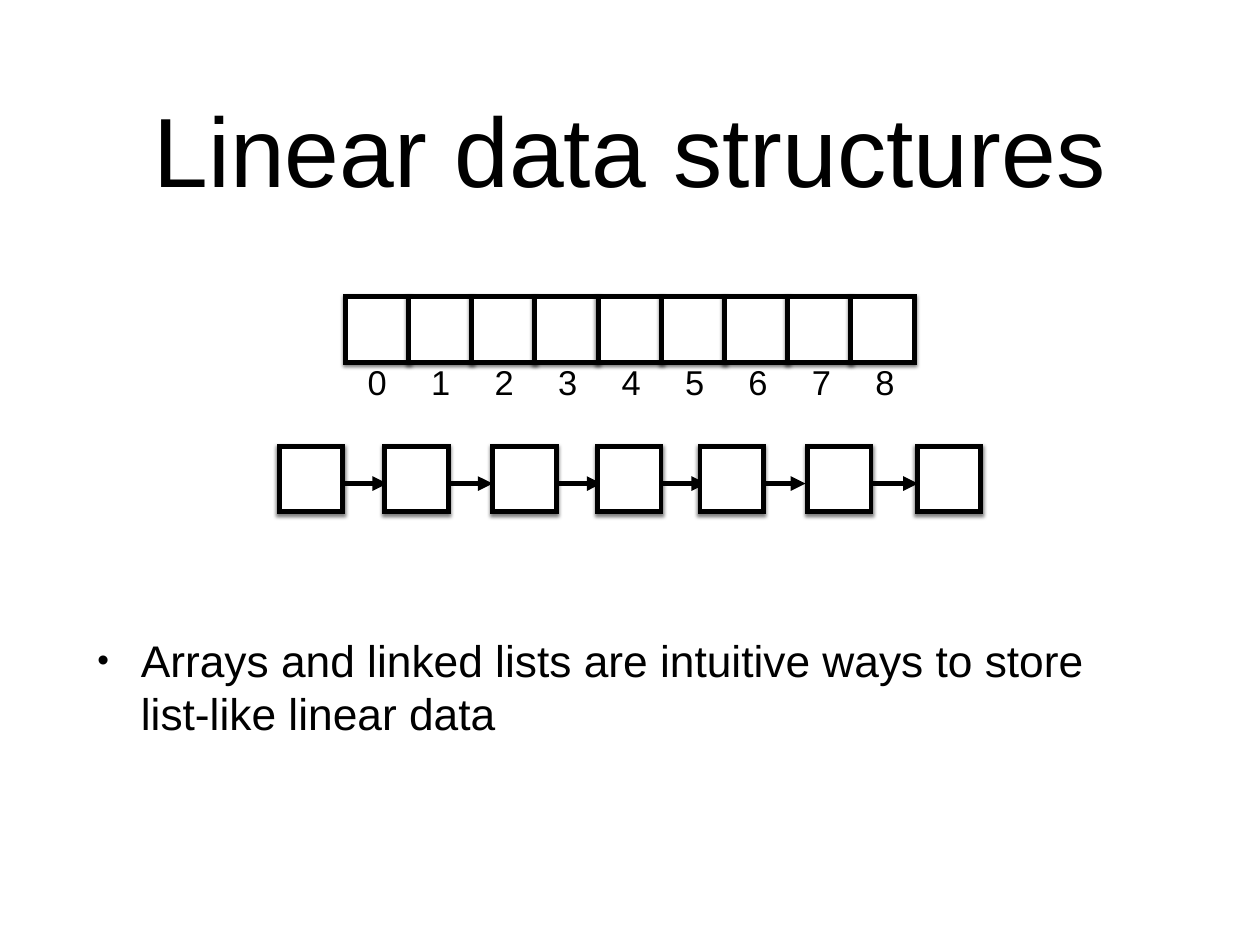
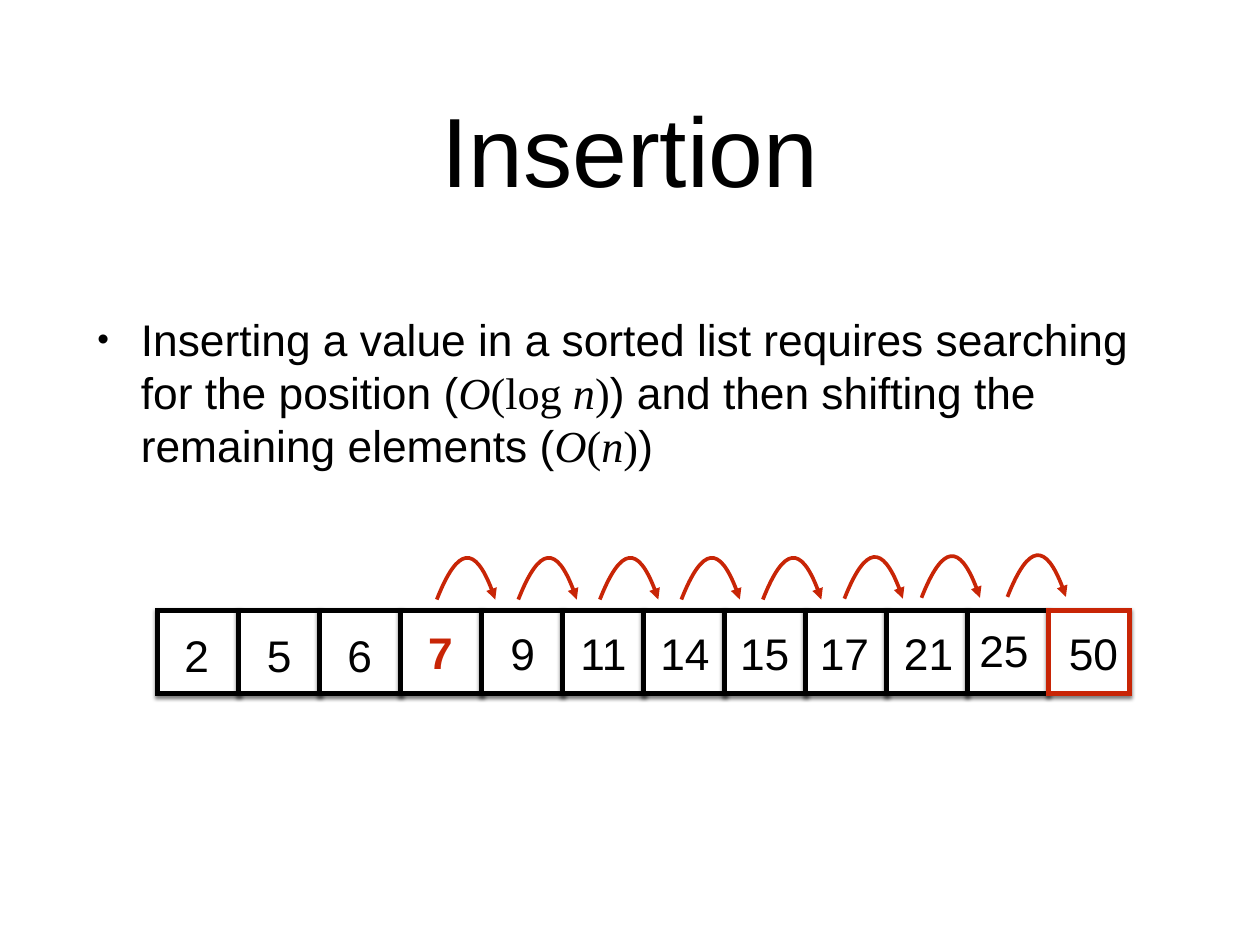
import pptx
import pptx.util
import pptx.dml.color
import pptx.enum.shapes
import pptx.enum.text
import pptx.oxml.ns
import lxml.etree

Inches = pptx.util.Inches
Pt = pptx.util.Pt
qn = pptx.oxml.ns.qn
ALIGN = pptx.enum.text.PP_ALIGN
ANCHOR = pptx.enum.text.MSO_ANCHOR
FIT = pptx.enum.text.MSO_AUTO_SIZE

# Shared look
BLACK = pptx.dml.color.RGBColor(0x00, 0x00, 0x00)
WHITE = pptx.dml.color.RGBColor(0xFF, 0xFF, 0xFF)
RED = pptx.dml.color.RGBColor(0xC8, 0x25, 0x06)
SANS = "Arial"
SERIF = "Times New Roman"
PAD = 0.06
LEFT, WIDTH = 1.04, 12.14


def add_xml(parent, tag, **attrs):
    return lxml.etree.SubElement(parent, qn(tag), **attrs)


def style(run, size, color=BLACK, face=SANS, bold=False, slant=False):
    font = run.font
    font.name, font.size = face, Pt(size)
    font.bold, font.italic = bold, slant
    font.color.rgb = color


def set_frame(frame, wrap=True, fit=FIT.NONE):
    frame.margin_left = frame.margin_right = Inches(PAD)
    frame.margin_top = frame.margin_bottom = Inches(PAD)
    frame.vertical_anchor = ANCHOR.MIDDLE
    frame.auto_size = fit
    frame.word_wrap = wrap


def place(shape, left, top, width, height):
    shape.left, shape.top = Inches(left), Inches(top)
    shape.width, shape.height = Inches(width), Inches(height)


def new_slide(deck, title):
    slide = deck.slides.add_slide(deck.slide_layouts[1])
    head = slide.shapes.title
    place(head, LEFT, 0.49, WIDTH, 2.36)
    set_frame(head.text_frame)
    para = head.text_frame.paragraphs[0]
    para.text = title
    para.alignment = ALIGN.CENTER
    style(para.runs[0], 80)
    return slide


def add_body(slide, top, height, parts):
    """Fill the body with one bullet; parts are (text, face, slant)."""
    body = slide.placeholders[1]
    place(body, LEFT, top, WIDTH, height)
    set_frame(body.text_frame)
    para = body.text_frame.paragraphs[0]
    para.space_before = Pt(42)
    for text, face, slant in parts:
        run = para.add_run()
        run.text = text
        style(run, 36, face=face, slant=slant)
    props = para._p.get_or_add_pPr()
    props.set("marL", str(Inches(0.49)))
    props.set("indent", str(Inches(-0.49)))
    add_xml(props, "a:buSzPct", val="75000")
    add_xml(props, "a:buFont", typeface=SANS)
    add_xml(props, "a:buChar", char="•")


def add_cell(slide, left, top, width, height, color=BLACK):
    cell = slide.shapes.add_shape(
        pptx.enum.shapes.MSO_SHAPE.RECTANGLE,
        Inches(left), Inches(top), Inches(width), Inches(height))
    cell.fill.solid()
    cell.fill.fore_color.rgb = WHITE
    cell.line.color.rgb = color
    cell.line.width = Pt(4)
    add_xml(cell.line._get_or_add_ln(), "a:miter", lim="400000")
    cell.shadow.inherit = False
    glow = add_xml(cell._element.spPr.find(qn("a:effectLst")), "a:outerShdw",
                   blurRad=str(Pt(3)), dist=str(Pt(2)), dir="5400000",
                   rotWithShape="0")
    tint = add_xml(glow, "a:srgbClr", val=str(BLACK))
    add_xml(tint, "a:alpha", val="50000")


def add_label(slide, text, mid, top, width, height, size,
              color=BLACK, bold=False, fit=FIT.NONE):
    box = slide.shapes.add_textbox(
        Inches(mid - width / 2), Inches(top), Inches(width), Inches(height))
    set_frame(box.text_frame, wrap=fit == FIT.NONE, fit=fit)
    para = box.text_frame.paragraphs[0]
    para.text = text
    para.alignment = ALIGN.CENTER
    style(para.runs[0], size, color, bold=bold)


def add_tip(shape, color, width):
    shape.line.color.rgb = color
    shape.line.width = Pt(width)
    line = shape.line._get_or_add_ln()
    add_xml(line, "a:miter", lim="400000")
    add_xml(line, "a:tailEnd", type="triangle")


def add_arrow(slide, left, top, width):
    link = slide.shapes.add_connector(
        pptx.enum.shapes.MSO_CONNECTOR.STRAIGHT,
        Inches(left), Inches(top), Inches(left + width), Inches(top))
    add_tip(link, BLACK, 4)
    add_xml(link._element.spPr, "a:effectLst")


def add_arc(slide, left, base):
    """Draw one cubic hop that starts and ends on the base line."""
    wide, high = 0.66, 0.46
    pen = slide.shapes.build_freeform(Inches(left), Inches(base))
    pen.add_line_segments([(Inches(left + wide / 2), Inches(base - high)),
                           (Inches(left + wide), Inches(base))], close=False)
    arc = pen.convert_to_shape()
    # Bend the two straight parts into one curve
    first, second = list(arc._element.iter(qn("a:lnTo")))
    trace = first.getparent()
    trace.remove(first)
    trace.remove(second)
    curve = add_xml(trace, "a:cubicBezTo")
    for x, y in ((0.24, -0.15), (0.46, -0.15), (wide, high)):
        add_xml(curve, "a:pt", x=str(Inches(x)), y=str(Inches(y)))
    arc.fill.background()
    arc.shadow.inherit = False
    add_tip(arc, RED, 3)


def linear_slide(deck):
    slide = new_slide(deck, "Linear data structures")
    add_body(slide, 5.63, 4.24, [
        ("Arrays and linked lists are intuitive ways to store "
         "list-like linear data", SANS, False)])
    # Linked list arrows, behind the nodes
    for left in (3.83, 5.02, 6.25, 7.43, 8.55, 9.82):
        add_arrow(slide, left, 5.46, 0.54)
    # Array with its indexes
    for i in range(9):
        add_cell(slide, 3.9 + i * 5.7 / 8, 3.35, 0.72, 0.74)
    for i in range(9):
        add_label(slide, str(i), 4.25 + i * 5.73 / 8, 4.03, 0.32, 0.55, 28)
    # Linked list nodes
    for left in (3.15, 4.34, 5.56, 6.74, 7.9, 9.11, 10.35):
        add_cell(slide, left, 5.04, 0.72, 0.74)


def insert_slide(deck):
    slide = new_slide(deck, "Insertion")
    add_body(slide, 2.85, 3.15, [
        ("Inserting a value in a sorted list requires searching "
         "for the position (", SANS, False),
        ("O", SERIF, True), ("(log ", SERIF, False),
        ("n", SERIF, True), (")", SERIF, False),
        (") and then shifting the remaining elements (", SANS, False),
        ("O", SERIF, True), ("(", SERIF, False),
        ("n", SERIF, True), (")", SERIF, False),
        (")", SANS, False)])
    # Sorted list: value, text centre, text top
    items = [("2", 2.22, 7.04), ("5", 3.15, 7.04), ("6", 4.06, 7.04),
             ("7", 4.97, 7), ("9", 5.9, 7.02), ("11", 6.81, 7.02),
             ("14", 7.73, 7.02), ("15", 8.63, 7.02), ("17", 9.53, 7.02),
             ("21", 10.48, 7.02), ("25", 11.33, 6.98), ("50", 12.34, 7.02)]
    last = len(items) - 1
    for i in range(len(items)):
        add_cell(slide, 1.78 + i * 10.05 / last, 6.89, 0.92, 0.94,
                 RED if i == last else BLACK)
    for text, mid, top in items:
        fresh = text == "7"
        add_label(slide, text, mid, top, 0.12 + 0.28 * len(text), 0.71, 36,
                  RED if fresh else BLACK, fresh, FIT.SHAPE_TO_FIT_TEXT)
    # Shifts to the right
    hops = [(4.93 + i * 0.92, 6.77) for i in range(5)]
    hops += [(9.53, 6.76), (10.4, 6.75), (11.37, 6.74)]
    for left, base in hops:
        add_arc(slide, left, base)


def main():
    deck = pptx.Presentation()
    deck.slide_width, deck.slide_height = Inches(14.22), Inches(10.67)
    linear_slide(deck)
    insert_slide(deck)
    deck.save("out.pptx")


if __name__ == "__main__":
    main()
